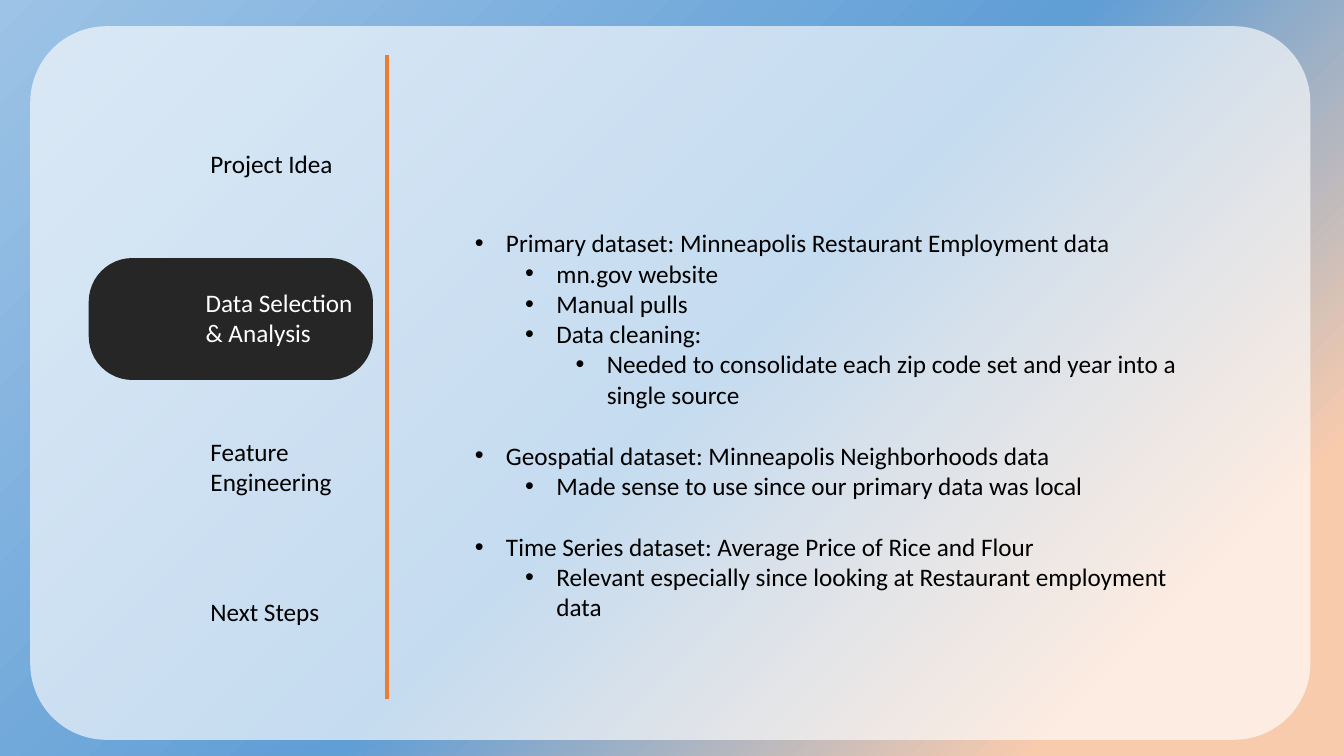
from lxml.etree import SubElement
from copy import deepcopy
from pptx import Presentation
from pptx.dml.color import RGBColor
from pptx.enum.shapes import MSO_CONNECTOR as CONN, MSO_SHAPE as SHAPE
from pptx.enum.text import MSO_ANCHOR as ANCHOR, MSO_AUTO_SIZE as AUTO, PP_ALIGN as ALIGN
from pptx.oxml.ns import qn
from pptx.util import Emu, Inches, Pt

PEACH = RGBColor(0xF8, 0xCB, 0xAD)
BLUE = RGBColor(0x60, 0x9E, 0xD6)
SKY = RGBColor(0x9D, 0xC3, 0xE6)
WHITE = RGBColor(0xFF, 0xFF, 0xFF)
BLACK = RGBColor(0x00, 0x00, 0x00)
CHARCOAL = RGBColor(0x26, 0x26, 0x26)
ORANGE = RGBColor(0xED, 0x7D, 0x31)

COLS, ROWS = 80, 45
BACKDROP = [(0.15, PEACH), (0.48, BLUE), (1, SKY)]
SECTIONS = [(8.52, 9.72, 2.4, "Project Idea"),
            (25.68, 10.26, 4.26, "Feature Engineering"),
            (35.22, 10.26, 2.4, "Next Steps")]
# level, text, opens a new group
DATASETS = [
    (0, "Primary dataset: Minneapolis Restaurant Employment data", False),
    (1, "mn.gov website", False),
    (1, "Manual pulls", False),
    (1, "Data cleaning:", False),
    (2, "Needed to consolidate each zip code set and year into a single source", False),
    (0, "Geospatial dataset: Minneapolis Neighborhoods data", True),
    (1, "Made sense to use since our primary data was local", False),
    (0, "Time Series dataset: Average Price of Rice and Flour", True),
    (1, "Relevant especially since looking at Restaurant employment data", False),
]


class Deck:
    """Holds the text style, the grid and the current slide."""
    font, size, gap = "Calibri", Pt(18), Pt(22)
    hang, step = 0.31, 0.5

    def __init__(self):
        self.prs = Presentation()
        self.prs.slide_width, self.prs.slide_height = Inches(13.33), Inches(7.5)
        self.slide = self.prs.slides.add_slide(self.prs.slide_layouts[1])

    def x(self, cols):
        return Emu(round(self.prs.slide_width * cols / COLS))

    def y(self, rows):
        return Emu(round(self.prs.slide_height * rows / ROWS))

    def box(self, left, top, width, height):
        return self.x(left), self.y(top), self.x(width), self.y(height)

    def backdrop(self, stops, angle):
        fill = self.slide.background.fill
        fill.gradient()
        fill.gradient_angle = angle
        stop_list = next(self.slide.element.iter(qn("a:gsLst")))
        stop_list.append(deepcopy(stop_list[-1]))
        for stop, (position, color) in zip(fill.gradient_stops, stops):
            stop.position, stop.color.rgb = position, color

    def rounded(self, box, color, radius, opacity=100):
        sp = self.slide.shapes.add_shape(SHAPE.ROUNDED_RECTANGLE, *self.box(*box))
        sp.adjustments[0] = radius
        sp.shadow.inherit = False
        sp.line.fill.background()
        sp.fill.solid()
        sp.fill.fore_color.rgb = color
        if opacity < 100:
            rgb = next(sp.element.spPr.iter(qn("a:srgbClr")))
            SubElement(rgb, qn("a:alpha"), val=str(opacity * 1000))

    def divider(self, col, top, bottom, color):
        ln = self.slide.shapes.add_connector(
            CONN.STRAIGHT, self.x(col), self.y(top), self.x(col), self.y(bottom))
        ln.line.color.rgb, ln.line.width = color, Pt(2.25)
        SubElement(ln.element.spPr, qn("a:effectLst"))

    def run(self, p, text, color):
        r = p.add_run()
        r.text = text
        r.font.name, r.font.size, r.font.color.rgb = self.font, self.size, color

    def frame(self, sp):
        tf = sp.text_frame
        tf.word_wrap, tf.auto_size = True, AUTO.SHAPE_TO_FIT_TEXT
        tf.vertical_anchor = ANCHOR.TOP
        return tf

    def label(self, box, text, color):
        tf = self.frame(self.slide.shapes.add_textbox(*self.box(*box)))
        self.run(tf.paragraphs[0], text, color)

    def placeholder(self, index, box):
        """Place a template placeholder in front of everything drawn so far."""
        sp = self.slide.placeholders[index]
        sp.left, sp.top, sp.width, sp.height = self.box(*box)
        self.slide.shapes.element.append(sp.element)
        return self.frame(sp)

    def title(self, box, text, color):
        p = self.placeholder(0, box).paragraphs[0]
        p.alignment = ALIGN.LEFT
        self.run(p, text, color)

    def bullets(self, box, items, color):
        tf = self.placeholder(1, box)
        for i, (level, text, new_group) in enumerate(items):
            p = tf.add_paragraph() if i else tf.paragraphs[0]
            p.level = level
            p.space_before = self.gap if new_group else Pt(0)
            pPr = p._p.get_or_add_pPr()
            pPr.set("marL", str(Inches(self.hang + self.step * level)))
            pPr.set("indent", str(-Inches(self.hang)))
            SubElement(pPr, qn("a:buFont"), typeface="Arial")
            SubElement(pPr, qn("a:buChar"), char="•")
            self.run(p, text, color)


def main():
    deck = Deck()
    deck.backdrop(BACKDROP, 135)
    deck.rounded((1.8, 1.56, 76.2, 42.48), WHITE, 0.107, opacity=64)
    deck.rounded((5.28, 15.36, 16.92, 7.26), CHARCOAL, 0.358)
    for top, width, height, text in SECTIONS:
        deck.label((11.94, top, width, height), text, BLACK)
    deck.title((11.64, 16.8, 10.26, 4.26), "Data Selection & Analysis", WHITE)
    deck.divider(23.04, 3.3, 41.58, ORANGE)
    deck.bullets((27.66, 13.26, 44.7, 24.24), DATASETS, BLACK)
    deck.prs.save("out.pptx")


if __name__ == "__main__":
    main()
